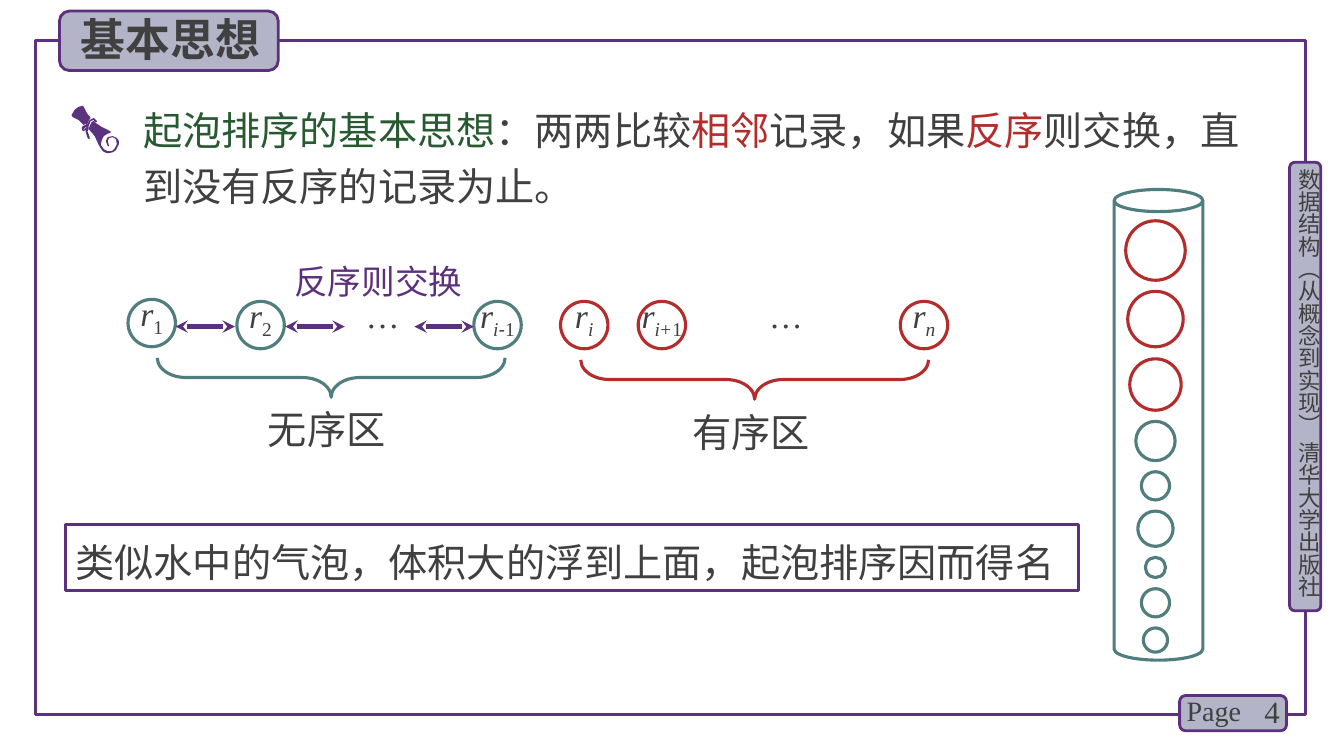
import pptx
import pptx.util
import pptx.dml.color
import pptx.enum.shapes
import pptx.enum.text
import lxml.etree
from pptx.oxml.ns import qn
from pptx.util import Inches, Pt

RGBColor = pptx.dml.color.RGBColor
SHAPE = pptx.enum.shapes.MSO_SHAPE
ALIGN = pptx.enum.text.PP_ALIGN
ANCHOR = pptx.enum.text.MSO_ANCHOR

PURPLE = RGBColor(0x5C, 0x30, 0x7D)
FRAME = RGBColor(0x5A, 0x32, 0x7D)
LILAC = RGBColor(0xB4, 0xB4, 0xC8)
TEAL = RGBColor(0x50, 0x7D, 0x7D)
RED = RGBColor(0xB4, 0x2D, 0x2D)
GREEN = RGBColor(0x28, 0x5A, 0x32)
GRAY = RGBColor(0x40, 0x40, 0x40)
HAN = "Noto Sans CJK SC"
ROMAN = "Times New Roman"

TITLE = "基本思想"
BOOK = "数据结构（从概念到实现） 清华大学出版社"
IDEA = [("起泡排序的基本思想", GREEN), ("：两两比较", GRAY), ("相邻", RED),
        ("记录，如果", GRAY), ("反序", RED),
        ("则交换，直到没有反序的记录为止。", GRAY)]
SWAP = "反序则交换"
REMARK = "类似水中的气泡，体积大的浮到上面，起泡排序因而得名"

BADGES = [(12.79, 1.61, 0.31, 4.45), (11.7, 6.9, 1.06, 0.35), (0.59, 0.11, 2.17, 0.59)]
ZONES = [("无序区", TEAL, 3.09, 2.02, 2.56, 3.97), ("有序区", RED, 7.29, 2.04, 6.77, 4.0)]
UPRIGHT = {"italic": False}
RECORDS = [
    (1.27, 2.97, TEAL, 0, [("1", UPRIGHT)]),
    (2.35, 2.99, TEAL, 0, [("2", UPRIGHT)]),
    (4.7, 2.99, TEAL, -70, [("i", {}), ("-", {"italic": False, "font": "Arial"}), ("1", UPRIGHT)]),
    (5.56, 2.99, RED, 0, [("i", {})]),
    (6.33, 2.99, RED, -70, [("i+", {}), ("1", UPRIGHT)]),
    (8.93, 2.99, RED, 0, [("n", {})]),
]
ELLIPSIS_LEFTS = [3.29, 7.29]
ARROW_STARTS = [1.74, 2.83, 4.11]
BUBBLES = [(2.19, 0.59, RED), (2.89, 0.55, RED), (3.56, 0.51, RED),
           (4.18, 0.39, TEAL), (4.68, 0.28, TEAL), (5.07, 0.35, TEAL),
           (5.53, 0.2, TEAL), (5.84, 0.28, TEAL), (6.23, 0.24, TEAL)]
SCROLL = [
    [[(85, 123), (86, 124), (89, 118), (90, 117), (86, 112), (83, 106), (82, 105),
      (78, 106), (74, 109), (71, 114), (72, 116), (78, 119), (83, 124)]],
    [[(116, 137), (112, 135), (107, 136), (105, 140), (107, 145), (108, 145), (108, 144),
      (107, 140), (108, 137), (112, 136), (115, 138), (116, 143), (114, 147), (111, 150),
      (107, 150), (103, 148), (101, 145), (100, 144), (101, 139), (103, 135), (106, 133),
      (109, 132), (110, 131), (109, 130), (101, 126), (95, 122), (93, 120), (91, 121),
      (89, 125), (88, 128), (94, 135), (98, 144), (100, 147), (102, 150), (106, 152),
      (108, 152), (112, 151), (115, 149), (118, 143), (118, 140)]],
    [[(88, 138), (87, 137), (85, 131), (85, 129), (83, 130), (82, 130), (81, 127),
      (82, 125), (85, 124), (86, 124), (89, 119), (93, 117), (94, 118), (96, 120),
      (96, 121), (94, 121), (93, 119), (90, 120), (88, 125), (88, 128), (87, 130),
      (87, 131), (89, 136), (89, 138)],
     [(85, 126), (83, 128), (83, 129), (84, 128), (86, 126)]],
]


def write(shape, spans, size, font=HAN, color=GRAY, align=ALIGN.LEFT,
          anchor=ANCHOR.TOP, spacing=None, inset=(0.1, 0.05), wrap=True):
    """Fill a shape with one paragraph of (text, overrides) spans."""
    frame = shape.text_frame
    frame.auto_size = pptx.enum.text.MSO_AUTO_SIZE.NONE
    frame.word_wrap = wrap
    frame.vertical_anchor = anchor
    frame.margin_left = frame.margin_right = Inches(inset[0])
    frame.margin_top = frame.margin_bottom = Inches(inset[1])
    para = frame.paragraphs[0]
    para.alignment = align
    para.space_before = Pt(0)
    para.line_spacing = Pt(spacing) if spacing else 1.0
    for text, style in spans:
        span = para.add_run()
        span.text = text
        span.font.size = Pt(size)
        span.font.bold = style.get("bold", False)
        span.font.italic = style.get("italic", False)
        span.font.color.rgb = style.get("color", color)
        span.font.name = style.get("font", font)
        marks = span.font._element
        lxml.etree.SubElement(marks, qn("a:ea")).set("typeface", style.get("font", font))
        for key in ("baseline", "spc"):
            if style.get(key):
                marks.set(key, str(style[key]))
    return para


def add_box(page, left, top, width, height):
    """Add an empty text box measured in inches."""
    return page.shapes.add_textbox(Inches(left), Inches(top), Inches(width), Inches(height))


def add_outline(page, kind, area, color, width=2.25, fill=None):
    """Add a preset shape with a coloured line and an optional fill."""
    shape = page.shapes.add_shape(kind, *map(Inches, area))
    shape.shadow.inherit = False
    shape.line.color.rgb = color
    shape.line.width = Pt(width)
    if fill is None:
        shape.fill.background()
    else:
        shape.fill.solid()
        shape.fill.fore_color.rgb = fill
    return shape


def place(holder, left, top, width, height):
    """Move a placeholder and bring it to the front."""
    holder.left, holder.top = Inches(left), Inches(top)
    holder.width, holder.height = Inches(width), Inches(height)
    holder.element.getparent().append(holder.element)


def add_arrow(page, start):
    """Add a short horizontal double-headed arrow."""
    arrow = page.shapes.add_connector(
        pptx.enum.shapes.MSO_CONNECTOR.STRAIGHT,
        Inches(start), Inches(3.24), Inches(start + 0.59), Inches(3.24))
    arrow.line.color.rgb = PURPLE
    arrow.line.width = Pt(3)
    stroke = arrow.line._get_or_add_ln()
    for end in ("a:headEnd", "a:tailEnd"):
        lxml.etree.SubElement(stroke, qn(end)).set("type", "stealth")
    lxml.etree.SubElement(stroke.getparent(), qn("a:effectLst"))


def add_scroll(page):
    """Draw the scroll marker beside the main statement."""
    for outlines in SCROLL:
        builder = page.shapes.build_freeform(*outlines[0][0], scale=Inches(0.01))
        builder.add_line_segments(outlines[0][1:], close=True)
        for outline in outlines[1:]:
            builder.move_to(*outline[0])
            builder.add_line_segments(outline[1:], close=True)
        part = builder.convert_to_shape()
        part.shadow.inherit = False
        part.fill.solid()
        part.fill.fore_color.rgb = FRAME
        part.line.fill.background()


def main():
    """Build the bubble sort slide."""
    deck = pptx.Presentation()
    deck.slide_width, deck.slide_height = Inches(13.33), Inches(7.5)
    page = deck.slides.add_slide(deck.slide_layouts[1])
    title, body = page.shapes.title, page.placeholders[1]

    add_outline(page, SHAPE.RECTANGLE, (0.35, 0.4, 12.6, 6.69), FRAME)
    for area in BADGES:
        add_outline(page, SHAPE.ROUNDED_RECTANGLE, area, PURPLE, 2, LILAC)
    spine = add_box(page, 12.85, 1.67, 0.27, 4.49)
    write(spine, [(BOOK, {})], 16, inset=(0, 0))
    spine.text_frame._txBody.bodyPr.set("vert", "eaVert")
    write(add_box(page, 12.2, 6.86, 0.59, 0.4), [("4", {})], 22, ROMAN,
          align=ALIGN.RIGHT, anchor=ANCHOR.MIDDLE)
    write(add_box(page, 11.67, 6.83, 0.78, 0.44), [("Page", {})], 20, ROMAN)

    place(title, 0.7, 0.07, 2.1, 0.64)
    write(title, [(TITLE, {"bold": True})], 32)
    place(body, 1.32, 0.92, 11.33, 1.22)
    props = body.text_frame.paragraphs[0]._p.get_or_add_pPr()
    props.set("marL", "0")
    props.set("indent", "0")
    lxml.etree.SubElement(props, qn("a:buNone"))
    write(body, [(text, {"color": color}) for text, color in IDEA], 28, spacing=40)
    add_scroll(page)

    for label, color, brace_left, brace_top, left, top in ZONES:
        brace = add_outline(page, SHAPE.LEFT_BRACE, (brace_left, brace_top, 0.39, 3.45), color)
        brace.rotation = 270
        brace.adjustments[0] = 0.73
        write(add_box(page, left, top, 2.17, 0.57), [(label, {})], 28)
    for left, top, color, tracking, index in RECORDS:
        circle = add_outline(page, SHAPE.OVAL, (left, top, 0.47, 0.47), color)
        base = {"italic": True, "spc": tracking}
        spans = [("r", base)]
        spans += [(text, {**base, "baseline": -25000, **style}) for text, style in index]
        write(circle, spans, 24, ROMAN, align=ALIGN.CENTER, anchor=ANCHOR.MIDDLE,
              spacing=22, inset=(0, 0), wrap=False)
    for left in ELLIPSIS_LEFTS:
        write(add_box(page, left, 2.97, 1.01, 0.41), [("…", {})], 24, ROMAN,
              align=ALIGN.CENTER, spacing=22)
    for start in ARROW_STARTS:
        add_arrow(page, start)
    write(add_box(page, 2.92, 2.59, 1.9, 0.42), [(SWAP, {})], 24, color=PURPLE,
          align=ALIGN.JUSTIFY, inset=(0, 0))

    add_outline(page, SHAPE.CAN, (11.05, 1.88, 0.88, 4.67), TEAL)
    for top, size, color in BUBBLES:
        add_outline(page, SHAPE.OVAL, (11.46 - size / 2, top, size, size), color)
    remark = add_outline(page, SHAPE.RECTANGLE, (0.65, 5.2, 10.05, 0.66), PURPLE)
    write(remark, [(REMARK, {})], 28, spacing=40)
    deck.save("out.pptx")


if __name__ == "__main__":
    main()
